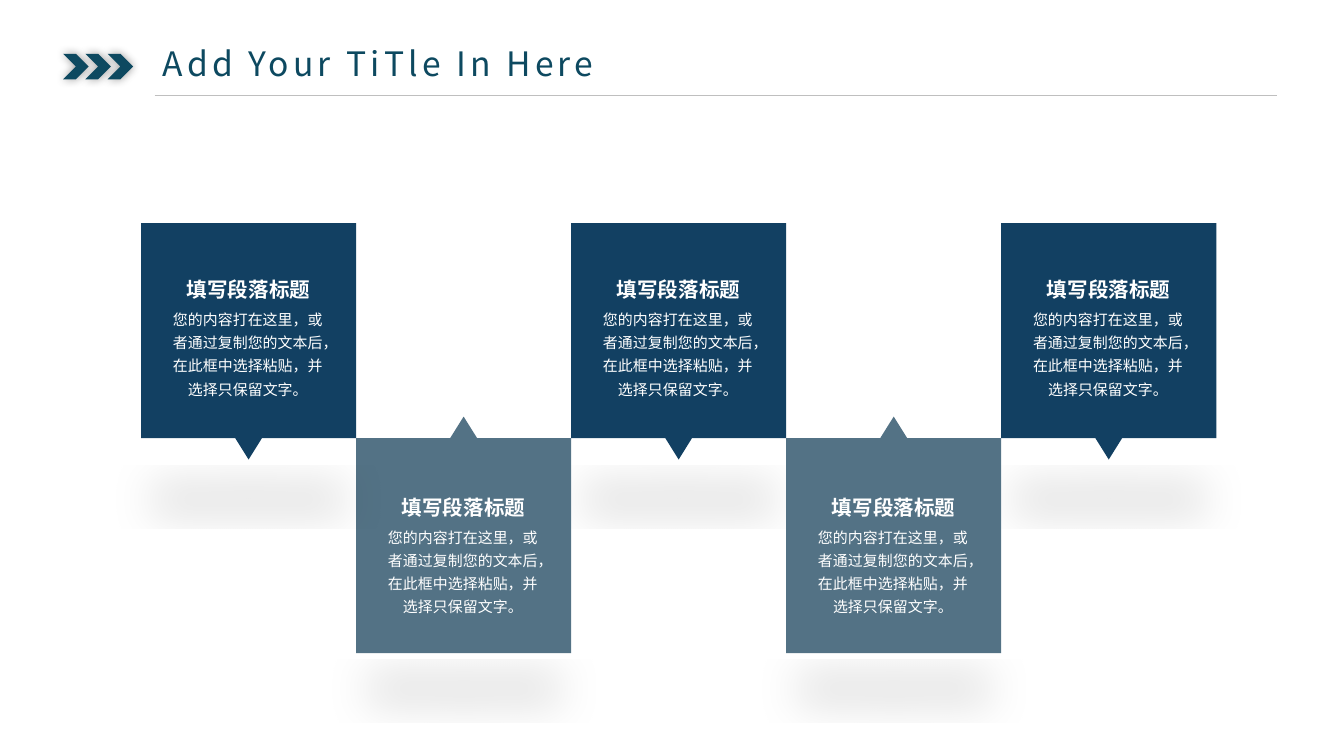
"""Build a slide with five text cards that alternate above and below a middle line."""
import lxml.etree
import pptx
import pptx.dml.color
import pptx.enum.shapes
import pptx.enum.text
import pptx.oxml.ns
import pptx.util

Inches = pptx.util.Inches
qn = pptx.oxml.ns.qn

TITLE = "Add Your TiTle In Here"
HEADING = "填写段落标题"
BODY = "您的内容打在这里，或者通过复制您的文本后，在此框中选择粘贴，并选择只保留文字。"
CARD_ROWS = ["upper", "lower", "upper", "lower", "upper"]
BACK_TO_FRONT = [2, 4, 1, 3, 0]

THEME = {
    "title": "0D4960", "rule": "BFBFBF", "text": "FFFFFF",
    "title_font": "Noto Sans CJK JP", "card_font": "Noto Sans CJK SC",
    "title_size": 18, "heading_size": 11, "body_size": 8,
}
ROWS = {
    "upper": {"top": 1.66, "heading": 1.97, "color": "124062"},
    "lower": {"top": 3.26, "heading": 3.59, "color": "537285"},
}
CARDS_LEFT, SIDE = 1.05, 1.6
POINTER_HALF, POINTER_HEIGHT = 0.1, 0.16
CHEVRON_SHADOW = {"alpha": 40, "blurRad": 5}
CARD_SHADOW = {"alpha": 10, "blurRad": 24, "dist": 8, "dir": 5400000,
               "sx": 90000, "sy": -19000}


def rgb(color):
    return pptx.dml.color.RGBColor.from_string(color)


def paint(shape, color, shadow):
    shape.fill.solid()
    shape.fill.fore_color.rgb = rgb(color)
    shape.line.fill.background()
    shape.shadow.inherit = False
    effects = shape._element.spPr.find(qn("a:effectLst"))
    outer = lxml.etree.SubElement(effects, qn("a:outerShdw"), rotWithShape="0")
    for key, value in shadow.items():
        if key in ("blurRad", "dist"):
            value = pptx.util.Pt(value)
        if key != "alpha":
            outer.set(key, str(int(value)))
    black = lxml.etree.SubElement(outer, qn("a:srgbClr"), val="000000")
    lxml.etree.SubElement(black, qn("a:alpha"), val=str(shadow["alpha"] * 1000))


def add_text(slide, text, box, *, size, font, color, insets, bold=False,
             centered=False, line_spacing=None, tracking=None):
    frame = slide.shapes.add_textbox(*map(Inches, box)).text_frame
    frame.word_wrap = True
    frame.auto_size = pptx.enum.text.MSO_AUTO_SIZE.SHAPE_TO_FIT_TEXT
    frame.margin_left = frame.margin_right = Inches(insets[0])
    frame.margin_top = frame.margin_bottom = Inches(insets[1])
    paragraph = frame.paragraphs[0]
    if centered:
        paragraph.alignment = pptx.enum.text.PP_ALIGN.CENTER
    if line_spacing:
        paragraph.line_spacing = line_spacing
    run = paragraph.add_run()
    run.text = text
    run.font.size = pptx.util.Pt(size)
    run.font.bold = bold
    run.font.color.rgb = rgb(color)
    run.font.name = font
    properties = run._r.get_or_add_rPr()
    lxml.etree.SubElement(properties, qn("a:ea"), typeface=font)
    if tracking:
        properties.set("spc", str(round(tracking * 100)))


def add_header(slide):
    for index in range(3):
        chevron = slide.shapes.add_shape(
            pptx.enum.shapes.MSO_SHAPE.CHEVRON, Inches(0.47 + index * 0.33 / 2),
            Inches(0.4), Inches(0.19), Inches(0.19))
        paint(chevron, THEME["title"], CHEVRON_SHADOW)
    add_text(slide, TITLE, (1.15, 0.29, 4.35, 0.36), size=THEME["title_size"],
             font=THEME["title_font"], color=THEME["title"],
             insets=(0.06, 0.03), tracking=2.2)
    rule = slide.shapes.add_connector(
        pptx.enum.shapes.MSO_CONNECTOR.STRAIGHT,
        Inches(1.15), Inches(0.71), Inches(9.5), Inches(0.71))
    rule.line.color.rgb = rgb(THEME["rule"])
    rule.line.width = pptx.util.Pt(0.5)
    lxml.etree.SubElement(rule._element.spPr, qn("a:effectLst"))


def add_card(slide, left, row):
    top, bottom = row["top"], row["top"] + SIDE
    right, middle = left + SIDE, left + SIDE / 2
    if row is ROWS["upper"]:
        far, near, tip = top, bottom, bottom + POINTER_HEIGHT
    else:
        far, near, tip = bottom, top, top - POINTER_HEIGHT
    outline = [(right, far), (right, near), (middle + POINTER_HALF, near),
               (middle, tip), (middle - POINTER_HALF, near), (left, near)]
    builder = slide.shapes.build_freeform(Inches(left), Inches(far))
    builder.add_line_segments([(Inches(x), Inches(y)) for x, y in outline])
    paint(builder.convert_to_shape(), row["color"], CARD_SHADOW)


def add_card_text(slide, left, row):
    shared = {"font": THEME["card_font"], "color": THEME["text"], "centered": True}
    add_text(slide, HEADING, (left + 0.26, row["heading"], 1.08, 0.25),
             size=THEME["heading_size"], bold=True, line_spacing=1.5,
             insets=(0.07, 0), **shared)
    add_text(slide, BODY, (left + 0.11, row["heading"] + 0.26, 1.37, 0.78),
             size=THEME["body_size"], line_spacing=1.3,
             insets=(0.08, 0.04), **shared)


def main():
    presentation = pptx.Presentation()
    presentation.slide_width = Inches(10)
    presentation.slide_height = presentation.slide_width * 9 // 16
    slide = presentation.slides.add_slide(presentation.slide_layouts[6])
    add_header(slide)
    cards = [(CARDS_LEFT + index * SIDE, ROWS[name])
             for index, name in enumerate(CARD_ROWS)]
    for index in BACK_TO_FRONT:
        add_card(slide, *cards[index])
    for left, row in cards:
        add_card_text(slide, left, row)
    presentation.save("out.pptx")


if __name__ == "__main__":
    main()
